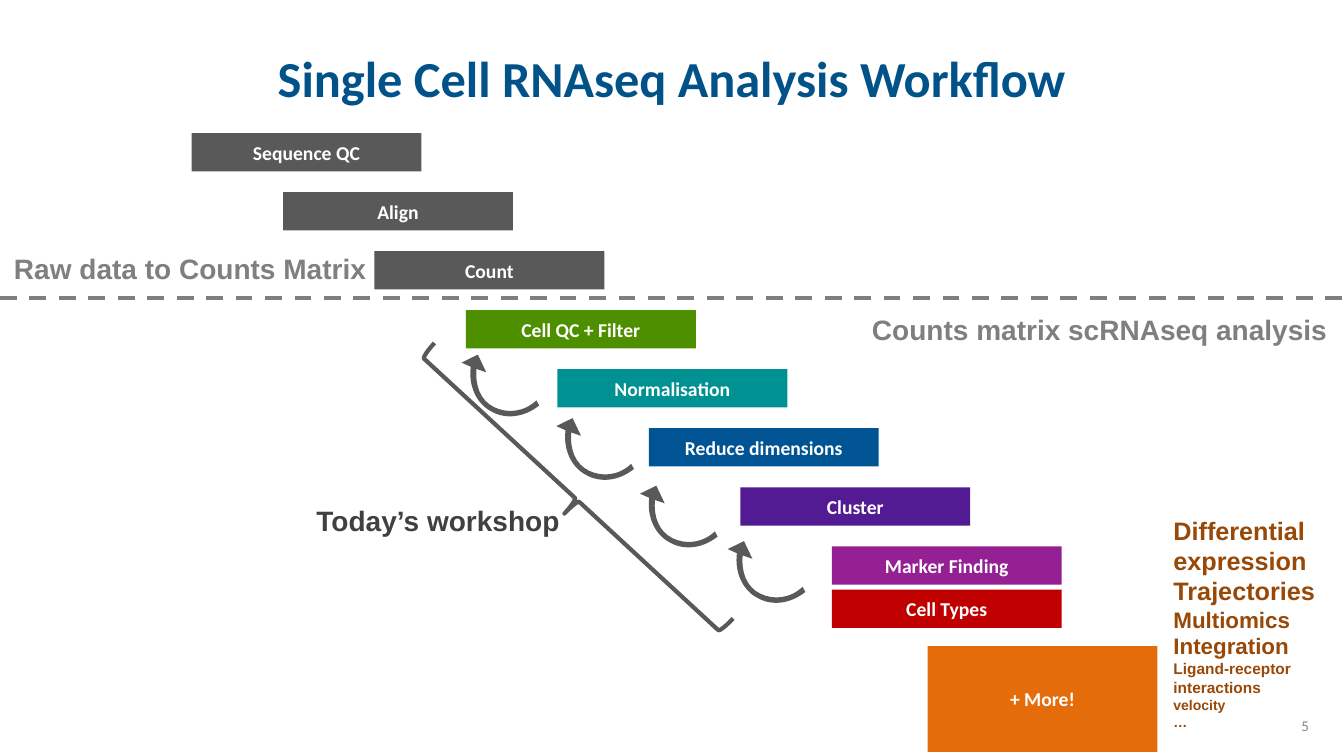
from dataclasses import dataclass

from lxml.etree import SubElement
from pptx import Presentation
from pptx.dml.color import RGBColor
from pptx.enum.dml import MSO_LINE
from pptx.enum.shapes import MSO_CONNECTOR, MSO_SHAPE
from pptx.enum.text import MSO_ANCHOR as Anchor, PP_ALIGN as Align
from pptx.oxml.ns import qn
from pptx.util import Inches, Pt


@dataclass(frozen=True)
class Theme:
    """Colours, fonts and type sizes of the slide."""
    heading: str = "Calibri"
    body: str = "Arial"
    title: str = "02528A"
    white: str = "FFFFFF"
    dark: str = "595959"
    ink: str = "404040"
    grey: str = "7F7F7F"
    number: str = "888888"
    more: str = "E46C0A"
    topics: str = "984807"
    cell_types: str = "C00000"
    title_size: float = 36
    label_size: float = 20
    bar_size: float = 14
    number_size: float = 10.7
    stroke: float = 3


@dataclass(frozen=True)
class Box:
    """A rectangle in inches."""
    x: float
    y: float
    w: float
    h: float

    def emu(self):
        """Return left, top, width and height as lengths."""
        return [Inches(v) for v in (self.x, self.y, self.w, self.h)]


T = Theme()
SLIDE = Box(0, 0, 13.33, 7.5)
BAR_W, BAR_H = 2.28, 0.38
STEPS = [
    ("Sequence QC", T.dark),
    ("Align", T.dark),
    ("Count", T.dark),
    ("Cell QC + Filter", "4E8F00"),
    ("Normalisation", "009193"),
    ("Reduce dimensions", "005493"),
    ("Cluster", "521B93"),
    ("Marker Finding", "942093"),
]
TOPICS = [
    ("Differential expression Trajectories", 18),
    ("Multiomics", 16),
    ("Integration", 16),
    ("Ligand-receptor interactions", 11),
    ("velocity", 10),
    ("…", 10),
]
ARROW_SPOTS = [(7.22, 4.92), (5.52, 3.7), (6.35, 4.37), (4.58, 3.07)]
ARROW_W, ARROW_H = 105, 117
ARROW_TURN = 210.2
ARROW_OUTLINE = [
    ("a:moveTo", [(13, 39)]),
    ("a:cubicBezTo", [(20, 21), (35, 10), (51, 10)]),
    ("a:cubicBezTo", [(68, 9), (84, 21), (91, 38)]),
    ("a:lnTo", [(101, 37)]),
    ("a:lnTo", [(91, 52)]),
    ("a:lnTo", [(75, 41)]),
    ("a:lnTo", [(85, 39)]),
    ("a:cubicBezTo", [(78, 24), (66, 14), (51, 15)]),
    ("a:cubicBezTo", [(37, 16), (23, 25), (18, 42)]),
    ("a:close", []),
]


def rgb(color):
    """Turn a hex string into a colour."""
    return RGBColor.from_string(color)


def set_insets(tf, side, end):
    """Set the side and end margins of a text frame."""
    tf.margin_left = tf.margin_right = Inches(side)
    tf.margin_top = tf.margin_bottom = Inches(end)


def fill_plain(sp, color):
    """Give a shape a solid fill without line or shadow."""
    sp.shadow.inherit = False
    sp.fill.solid()
    sp.fill.fore_color.rgb = rgb(color)
    sp.line.fill.background()


def add_run(p, text, size, color, font, bold=True):
    """Append a formatted run to a paragraph."""
    r = p.add_run()
    r.text = text
    r.font.size = Pt(size)
    r.font.name = font
    r.font.bold = bold
    r.font.color.rgb = rgb(color)


def add_text(s, box, lines, color, font=T.body, align=Align.LEFT, bold=True):
    """Place a text box with one paragraph for each text and size."""
    tf = s.shapes.add_textbox(*box.emu()).text_frame
    tf.word_wrap = True
    set_insets(tf, 0.1, 0.05)
    for i, (text, size) in enumerate(lines):
        p = tf.add_paragraph() if i else tf.paragraphs[0]
        p.alignment = align
        add_run(p, text, size, color, font, bold)


def add_title(s, box, text):
    """Fill the title placeholder."""
    sp = s.shapes.title
    sp.left, sp.top, sp.width, sp.height = box.emu()
    tf = sp.text_frame
    tf.vertical_anchor = Anchor.MIDDLE
    set_insets(tf, 0.07, 0.04)
    p = tf.paragraphs[0]
    p.alignment = Align.CENTER
    add_run(p, text, T.title_size, T.title, T.heading)


def add_bar(s, box, text, color):
    """Place one coloured workflow bar."""
    sp = s.shapes.add_shape(MSO_SHAPE.RECTANGLE, *box.emu())
    fill_plain(sp, color)
    tf = sp.text_frame
    tf.word_wrap = True
    tf.vertical_anchor = Anchor.MIDDLE
    set_insets(tf, 0.1, 0.1)
    p = tf.paragraphs[0]
    p.alignment = Align.CENTER
    add_run(p, text, T.bar_size, T.white, T.heading)


def add_cascade(s, box, steps):
    """Step the bars evenly down the diagonal of the box."""
    dx = (box.w - BAR_W) / (len(steps) - 1)
    dy = (box.h - BAR_H) / (len(steps) - 1)
    for i, (text, color) in enumerate(steps):
        add_bar(s, Box(box.x + i * dx, box.y + i * dy, BAR_W, BAR_H), text, color)


def add_return_arrow(s, x, y):
    """Place a curved return arrow, drawn in hundredths of an inch."""
    builder = s.shapes.build_freeform(0, 0, scale=Inches(0.01))
    builder.add_line_segments([(ARROW_W, 0), (ARROW_W, ARROW_H)])
    sp = builder.convert_to_shape(Inches(x), Inches(y))
    outline = sp._element.find(".//" + qn("a:path"))
    for step in list(outline):
        outline.remove(step)
    for tag, pts in ARROW_OUTLINE:
        step = SubElement(outline, qn(tag))
        for px, py in pts:
            SubElement(step, qn("a:pt"), x=str(px), y=str(py))
    sp.rotation = ARROW_TURN
    fill_plain(sp, T.dark)


def add_divider(s, y):
    """Draw the dashed line across the slide."""
    line = s.shapes.add_connector(MSO_CONNECTOR.STRAIGHT, 0, Inches(y),
                                  Inches(SLIDE.w), Inches(y))
    line.line.color.rgb = rgb(T.grey)
    line.line.width = Pt(T.stroke)
    line.line.dash_style = MSO_LINE.DASH
    SubElement(line._element.spPr, qn("a:effectLst"))


def add_brace(s, box):
    """Draw the tilted brace along the workshop steps."""
    sp = s.shapes.add_shape(MSO_SHAPE.LEFT_BRACE, *box.emu())
    sp.shadow.inherit = False
    sp.adjustments[0], sp.adjustments[1] = 0.08, 0.52
    sp.rotation = 312.7
    sp.fill.background()
    sp.line.color.rgb = rgb(T.dark)
    sp.line.width = Pt(T.stroke)


def build_workflow(prs):
    """Build the workflow slide."""
    s = prs.slides.add_slide(prs.slide_layouts[5])
    add_title(s, Box(0, 0.14, SLIDE.w, 1.25), "Single Cell RNAseq Analysis Workflow")
    add_text(s, Box(11.5, 7.06, 1.58, 0.38), [("5", T.number_size)],
             T.number, T.heading, Align.RIGHT, False)
    add_bar(s, Box(9.2, 6.41, BAR_W, 1.05), "+ More!", T.more)
    add_text(s, Box(11.54, 5.06, 1.81, 2.47), TOPICS, T.topics)
    add_divider(s, 2.96)
    add_cascade(s, Box(1.9, 1.32, 8.63, 4.48), STEPS)
    for x, y in ARROW_SPOTS:
        add_return_arrow(s, x, y)
    for box, text, color in [
        (Box(0.04, 2.45, 3.72, 0.44), "Raw data to Counts Matrix", T.grey),
        (Box(8.55, 3.05, 4.75, 0.44), "Counts matrix scRNAseq analysis", T.grey),
        (Box(3.04, 4.95, 4.75, 0.44), "Today’s workshop", T.ink),
    ]:
        add_text(s, box, [(text, T.label_size)], color)
    add_brace(s, Box(5.48, 2.89, 0.37, 4.03))
    add_bar(s, Box(8.25, 5.85, BAR_W, BAR_H), "Cell Types", T.cell_types)


def main():
    """Create and save the presentation."""
    prs = Presentation()
    prs.slide_width, prs.slide_height = Inches(SLIDE.w), Inches(SLIDE.h)
    build_workflow(prs)
    prs.save("out.pptx")


if __name__ == "__main__":
    main()
